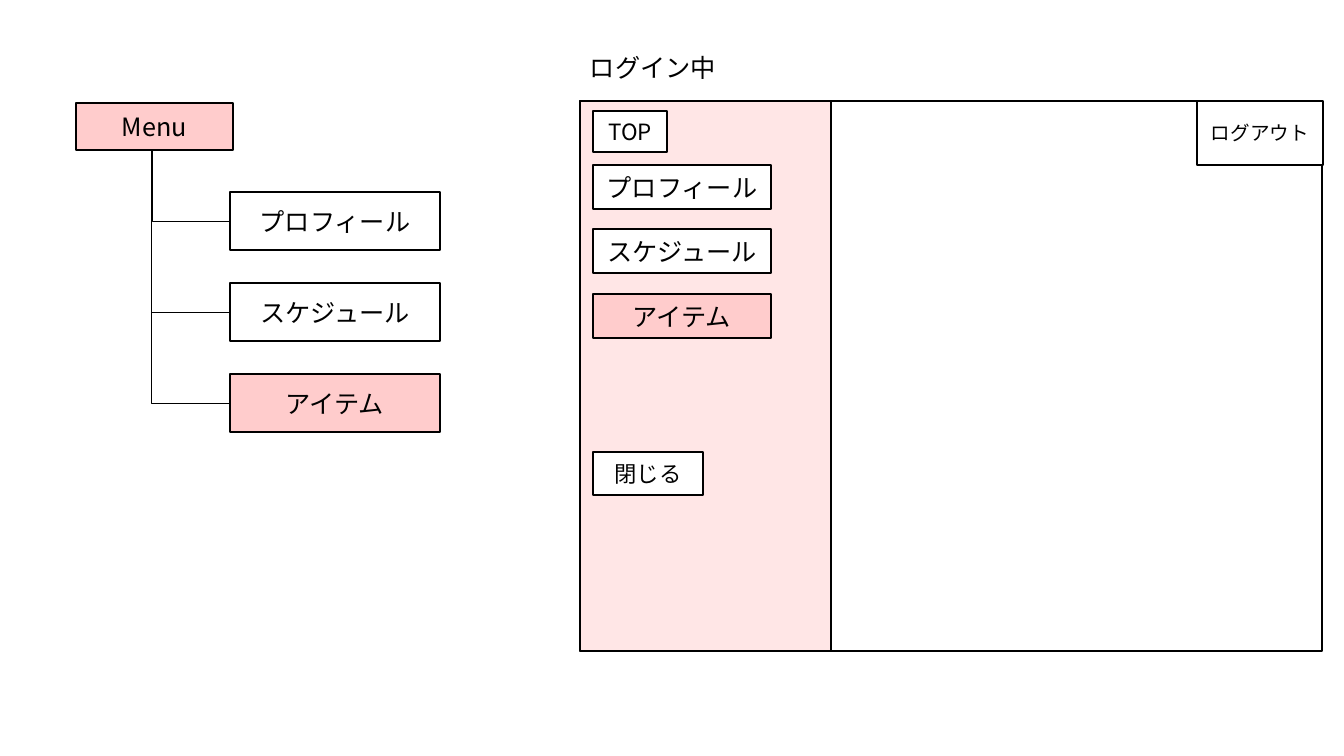
from lxml.etree import SubElement
from pptx import Presentation
from pptx.dml.color import RGBColor
from pptx.enum.shapes import MSO_CONNECTOR, MSO_SHAPE
from pptx.enum.text import MSO_ANCHOR, MSO_AUTO_SIZE, PP_ALIGN
from pptx.oxml.ns import qn
from pptx.util import Emu, Pt

BLACK = RGBColor(0x00, 0x00, 0x00)
WHITE = RGBColor(0xFF, 0xFF, 0xFF)
PINK = RGBColor(0xFF, 0xCC, 0xCC)
FONT = "Noto Sans CJK JP"
PAGES = ["プロフィール", "スケジュール", "アイテム"]
CURRENT_PAGE = "アイテム"


def px(n):
    return Emu(round(n * 914400 / 100.8))


class Wireframe:
    def __init__(self, slide):
        self.shapes = slide.shapes

    def set_text(self, sp, text, size, align):
        tf = sp.text_frame
        tf.word_wrap = True
        tf.text = text
        p = tf.paragraphs[0]
        p.alignment = align
        font = p.runs[0].font
        font.name = FONT
        font.size = Pt(size)
        font.color.rgb = BLACK
        SubElement(font._element, qn("a:ea"), typeface=FONT)

    def box(self, x, y, w, h, text="", size=18, fill=WHITE, alpha=None):
        sp = self.shapes.add_shape(MSO_SHAPE.RECTANGLE, px(x), px(y), px(w), px(h))
        sp.shadow.inherit = False
        sp.line.color.rgb = BLACK
        sp.line.width = Pt(1)
        if fill is None:
            sp.fill.background()
        else:
            sp.fill.solid()
            sp.fill.fore_color.rgb = fill
        if alpha is not None:
            color = sp._element.spPr.find(qn("a:solidFill"))[0]
            SubElement(color, qn("a:alpha"), val=str(alpha * 1000))
        if text:
            self.set_text(sp, text, size, PP_ALIGN.CENTER)
            sp.text_frame.vertical_anchor = MSO_ANCHOR.MIDDLE

    def label(self, x, y, w, h, text, size=18):
        sp = self.shapes.add_textbox(px(x), px(y), px(w), px(h))
        self.set_text(sp, text, size, PP_ALIGN.LEFT)
        sp.text_frame.auto_size = MSO_AUTO_SIZE.SHAPE_TO_FIT_TEXT

    def elbow(self, x1, y1, x2, y2, bend=0):
        cxn = self.shapes.add_connector(
            MSO_CONNECTOR.ELBOW, px(x1), px(y1), px(x2), px(y2))
        cxn.line.color.rgb = BLACK
        cxn.line.width = Pt(0.5)
        spPr = cxn._element.spPr
        SubElement(spPr, qn("a:effectLst"))
        guides = spPr.find(qn("a:prstGeom")).find(qn("a:avLst"))
        SubElement(guides, qn("a:gd"), name="adj1", fmla=f"val {bend}")


def main():
    prs = Presentation()
    prs.slide_width = px(1344)
    prs.slide_height = px(756)
    s = prs.slides.add_slide(prs.slide_layouts[6])
    frame = Wireframe(s)

    frame.box(580, 101, 742, 550)
    frame.box(580, 101, 251, 550, fill=PINK, alpha=49)
    for i, page in enumerate(PAGES):
        fill = PINK if page == CURRENT_PAGE else WHITE
        frame.box(593, 165 + 129 * i // 2, 178, 44, page, fill=fill)
    frame.box(593, 452, 110, 43, "閉じる", 16)
    frame.box(1197, 101, 126, 64, "ログアウト", 14)
    frame.label(580, 47, 202, 40, "ログイン中")
    frame.box(593, 111, 74, 41, "TOP", 16)

    frame.box(76, 103, 157, 47, "Menu", fill=PINK)
    for i, page in enumerate(PAGES):
        top = 192 + 91 * i
        fill = PINK if page == CURRENT_PAGE else None
        frame.box(230, top, 210, 58, page, fill=fill)
        frame.elbow(151, 150, 230, top + 29, bend=1600 if i == 0 else 0)

    prs.save("out.pptx")


if __name__ == "__main__":
    main()
